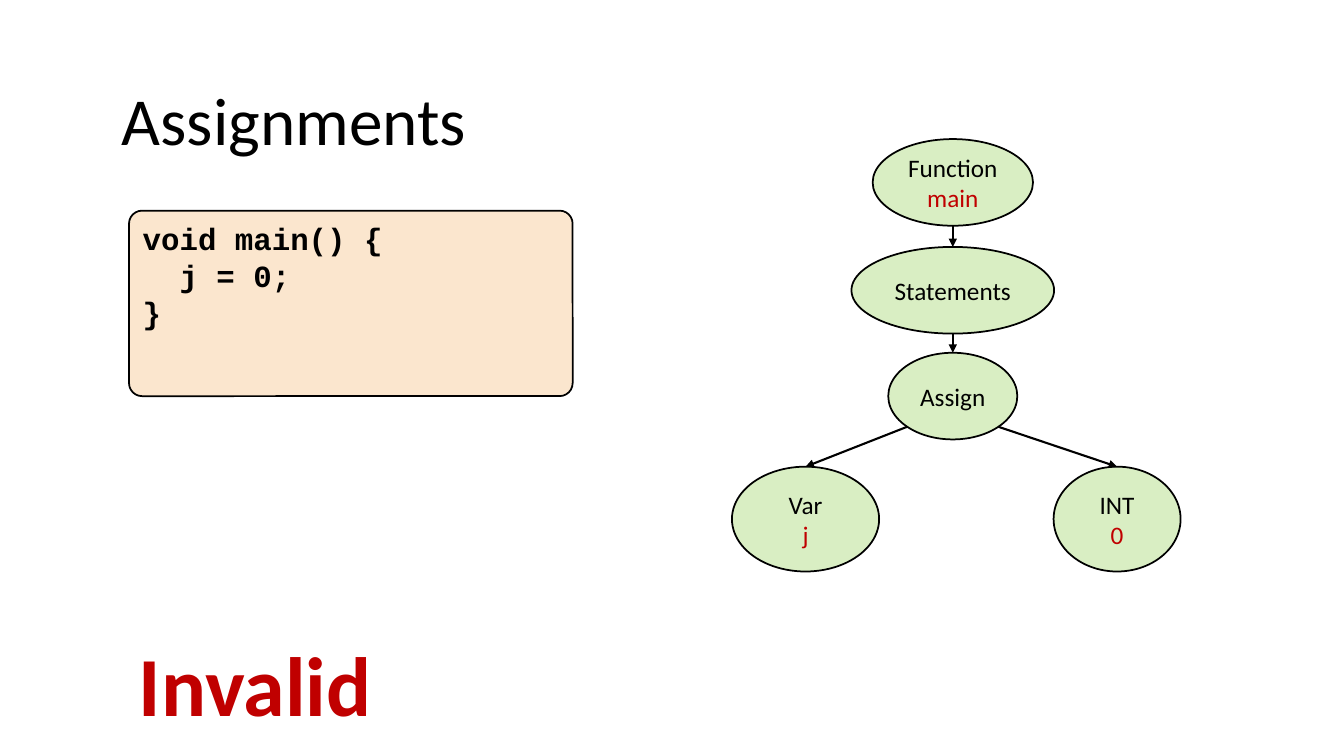
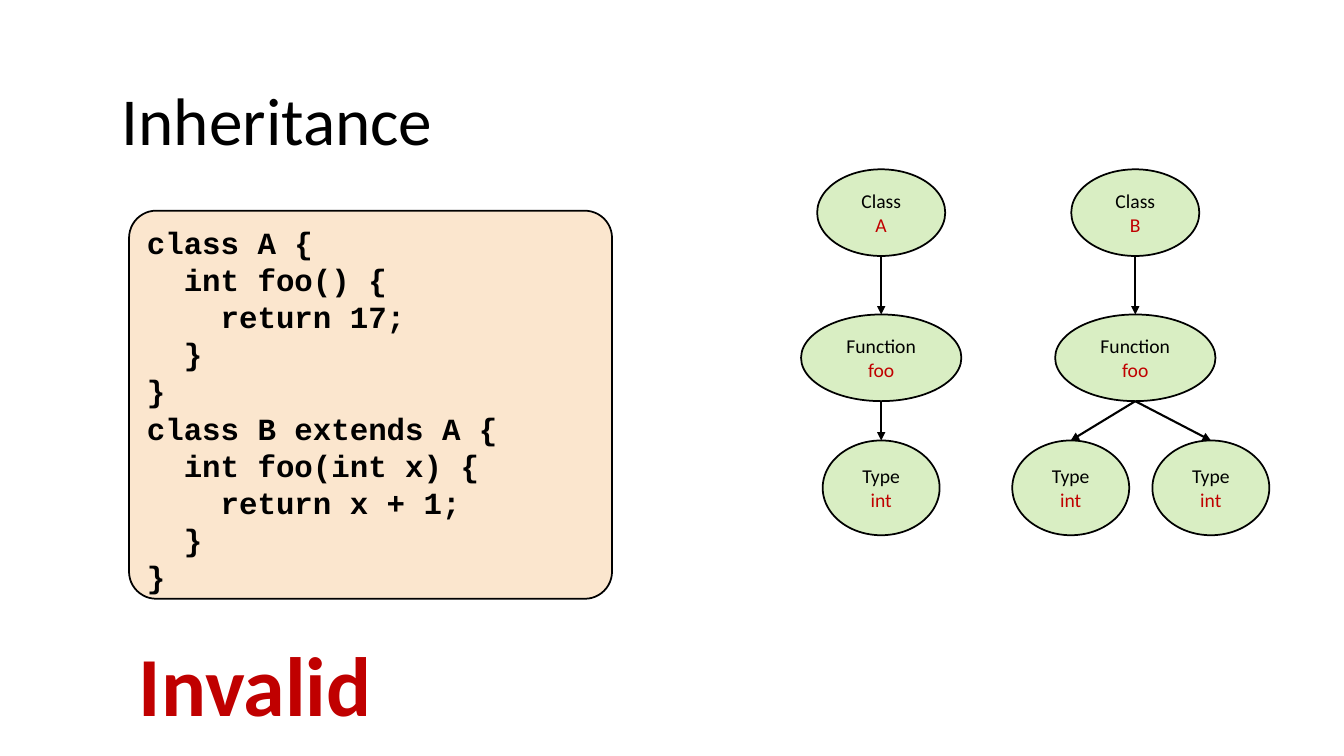
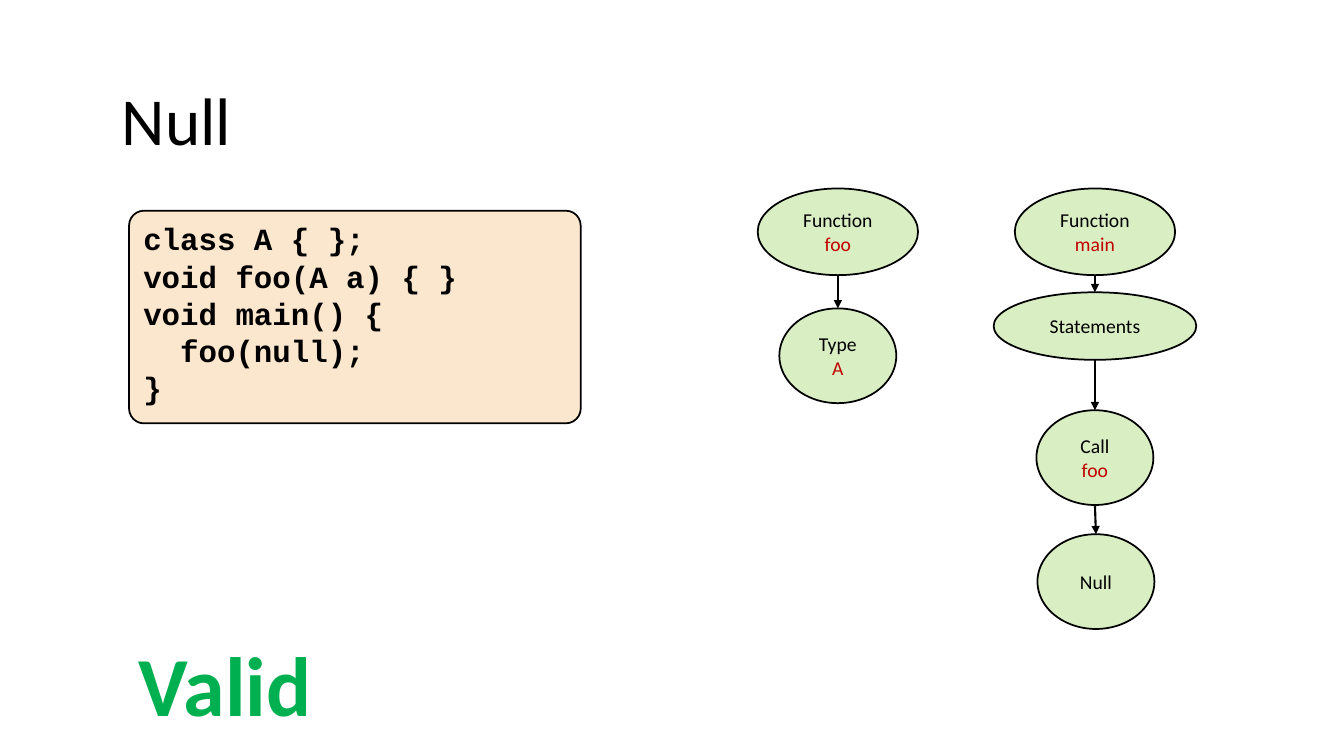
from dataclasses import dataclass
from math import cos, pi, sin

from pptx import Presentation
from pptx.dml.color import RGBColor
from pptx.enum.shapes import MSO_CONNECTOR, MSO_SHAPE
from pptx.enum.text import MSO_ANCHOR, MSO_AUTO_SIZE, PP_ALIGN
from pptx.oxml.ns import qn
from pptx.util import Emu, Pt

PX = 9144
ELLIPSE = MSO_SHAPE.OVAL
ROUNDED = MSO_SHAPE.ROUNDED_RECTANGLE
STRAIGHT = MSO_CONNECTOR.STRAIGHT
TOP, MIDDLE = MSO_ANCHOR.TOP, MSO_ANCHOR.MIDDLE
LEFT, CENTER = PP_ALIGN.LEFT, PP_ALIGN.CENTER
FIT_SHAPE = MSO_AUTO_SIZE.SHAPE_TO_FIT_TEXT

TOP_SITE, BOTTOM_LEFT, BOTTOM, BOTTOM_RIGHT = 0, 3, 4, 5

FUNCTION_SIZE = (159, 86)
STATEMENTS_SIZE = (201, 86)
FLAT_STATEMENTS_SIZE = (201, 67)
CLASS_SIZE = (127, 86)
LEAF_SIZE = (116, 94)


@dataclass(frozen=True)
class Theme:
    """Colours, fonts and sizes shared by all slides."""
    ink: str = "000000"
    node: str = "92D050"
    node_alpha: int = 34
    code: str = "FBE6CE"
    invalid: str = "C00000"
    valid: str = "00B050"
    body_font: str = "Calibri"
    code_font: str = "Courier New"
    title_size: int = 48
    verdict_size: int = 60
    code_size: int = 22
    code_leading: float = 26.5
    large_node_size: int = 18
    small_node_size: int = 14
    outline: float = 1.25
    arrow: float = 1.5


THEME = Theme()


def px(*lengths):
    """Turn px lengths into EMU."""
    return [Emu(round(length * PX)) for length in lengths]


def style(paragraph, size, color=THEME.ink, font=THEME.body_font, bold=False):
    """Set the font of a whole paragraph."""
    paragraph.font.name = font
    paragraph.font.size = Pt(size)
    paragraph.font.bold = bold
    paragraph.font.color.rgb = RGBColor.from_string(color)


def outlined(slide, preset, box, fill):
    """Add a filled preset shape with the shared outline."""
    shape = slide.shapes.add_shape(preset, *px(*box))
    shape.shadow.inherit = False
    shape.fill.solid()
    shape.fill.fore_color.rgb = RGBColor.from_string(fill)
    shape.line.color.rgb = RGBColor.from_string(THEME.ink)
    shape.line.width = Pt(THEME.outline)
    return shape


def write_lines(frame, lines, align, anchor):
    """Write one paragraph per line and return the paragraphs."""
    frame.word_wrap = True
    frame.vertical_anchor = anchor
    frame.text = "\n".join(lines)
    for paragraph in frame.paragraphs:
        paragraph.alignment = align
    return frame.paragraphs


def label(slide, box, text, size, color, bold=False):
    """Add a single line of free text."""
    frame = slide.shapes.add_textbox(*px(*box)).text_frame
    style(write_lines(frame, [text], LEFT, TOP)[0], size, color, bold=bold)
    frame.auto_size = FIT_SHAPE


def code_box(slide, width, height, lines):
    """Add the program listing on its rounded panel."""
    panel = outlined(slide, ROUNDED, (128, 209, width, height), THEME.code)
    panel.adjustments[0] = 0.07
    for paragraph in write_lines(panel.text_frame, lines, LEFT, TOP):
        paragraph.line_spacing = Pt(THEME.code_leading)
        style(paragraph, THEME.code_size, font=THEME.code_font, bold=True)


def arrow(slide, parent, child, site):
    """Join a site on the parent's rim to the top of the child."""
    angle = (site + 2) * pi / 4
    start_x = parent.left + parent.width / 2 * (1 + cos(angle))
    start_y = parent.top + parent.height / 2 * (1 - sin(angle))
    connector = slide.shapes.add_connector(STRAIGHT, 0, 0, 0, 0)
    connector.begin_connect(parent, TOP_SITE)
    connector.end_connect(child, TOP_SITE)
    next(connector._element.iter(qn("a:stCxn"))).set("idx", str(site))
    connector.begin_x, connector.begin_y = round(start_x), round(start_y)
    connector.line.color.rgb = RGBColor.from_string(THEME.ink)
    connector.line.width = Pt(THEME.arrow)
    line = connector.line._get_or_add_ln()
    line.append(line.makeelement(qn("a:tailEnd"), {"type": "triangle"}))
    properties = connector._element.spPr
    properties.append(properties.makeelement(qn("a:effectLst"), {}))


def node(slide, lines, center, top, size, text_size=THEME.small_node_size,
         parent=None, site=BOTTOM):
    """Add a syntax tree node, with an arrow from its parent if it has one."""
    width, height = size
    ellipse = outlined(slide, ELLIPSE, (center - width / 2, top, width, height), THEME.node)
    color = next(ellipse.fill._xPr.iter(qn("a:srgbClr")))
    alpha = {"val": str(THEME.node_alpha * 1000)}
    color.append(color.makeelement(qn("a:alpha"), alpha))
    frame = ellipse.text_frame
    frame.margin_left = frame.margin_right = px(4)[0]
    paragraphs = write_lines(frame, lines, CENTER, MIDDLE)
    for paragraph, ink in zip(paragraphs, (THEME.ink, THEME.invalid)):
        style(paragraph, text_size, ink)
    if parent is not None:
        arrow(slide, parent, ellipse, site)
    return ellipse


def example_slide(deck, title, valid):
    """Add a slide with its title and its verdict."""
    slide = deck.slides.add_slide(deck.slide_layouts[6])
    label(slide, (111, 73, 1109, 91), title, THEME.title_size, THEME.ink)
    verdict, color = ("Valid", THEME.valid) if valid else ("Invalid", THEME.invalid)
    label(slide, (128, 623, 306, 111), verdict, THEME.verdict_size, color, bold=True)
    return slide


def assignments(deck):
    """Build the slide on assigning to an undeclared variable."""
    slide = example_slide(deck, "Assignments", valid=False)
    code_box(slide, 440, 184, ["void main() {", "  j = 0;", "}"])
    size = THEME.large_node_size
    main_node = node(slide, ["Function", "main"], 945, 138, FUNCTION_SIZE, size)
    statements = node(slide, ["Statements"], 945, 245, STATEMENTS_SIZE, size, main_node)
    assign = node(slide, ["Assign"], 945, 350, (128, 86), size, statements)
    node(slide, ["Var", "j"], 799, 463, (146, 104), size, assign, BOTTOM_LEFT)
    node(slide, ["INT", "0"], 1108, 463, (126, 104), size, assign, BOTTOM_RIGHT)


def inheritance(deck):
    """Build the slide on overriding with another signature."""
    slide = example_slide(deck, "Inheritance", valid=False)
    code_box(slide, 479, 385, [
        "class A {", "  int foo() {", "    return 17;", "  }", "}",
        "class B extends A {", "  int foo(int x) {", "    return x + 1;", "  }", "}",
    ])
    for name, center, type_centers in (("A", 874, [874]), ("B", 1126, [1062, 1201])):
        class_node = node(slide, ["Class", name], center, 168, CLASS_SIZE)
        foo = node(slide, ["Function", "foo"], center, 312, FUNCTION_SIZE, parent=class_node)
        for type_center in type_centers:
            node(slide, ["Type", "int"], type_center, 437, LEAF_SIZE, parent=foo)


def null_argument(deck):
    """Build the slide on passing null for an object."""
    slide = example_slide(deck, "Null", valid=True)
    code_box(slide, 448, 211, [
        "class A { };", "void foo(A a) { }", "void main() {", "  foo(null);", "}",
    ])
    foo = node(slide, ["Function", "foo"], 831, 187, FUNCTION_SIZE)
    node(slide, ["Type", "A"], 831, 306, LEAF_SIZE, parent=foo)
    main_node = node(slide, ["Function", "main"], 1086, 187, FUNCTION_SIZE)
    statements = node(slide, ["Statements"], 1086, 290, FLAT_STATEMENTS_SIZE, parent=main_node)
    call = node(slide, ["Call", "foo"], 1086, 407, LEAF_SIZE, parent=statements)
    node(slide, ["Null"], 1087, 530, LEAF_SIZE, parent=call)


def main():
    """Build and save the deck."""
    deck = Presentation()
    deck.slide_width, deck.slide_height = px(1333, 750)
    assignments(deck)
    inheritance(deck)
    null_argument(deck)
    deck.save("out.pptx")


if __name__ == "__main__":
    main()
